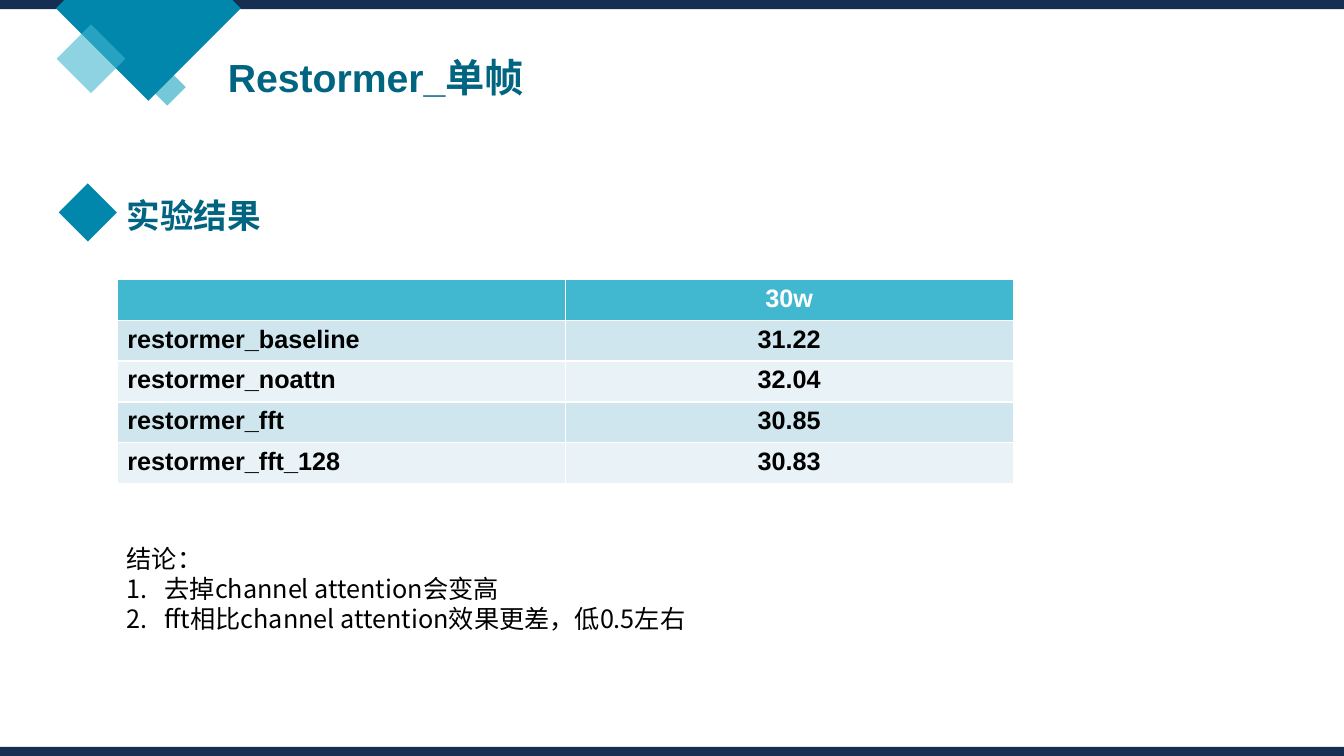
from dataclasses import dataclass

from lxml.etree import SubElement
from pptx import Presentation
from pptx.dml.color import RGBColor
from pptx.enum.shapes import MSO_SHAPE as Shape
from pptx.enum.text import MSO_ANCHOR as Anchor, MSO_AUTO_SIZE as AutoSize, PP_ALIGN as Align
from pptx.oxml.ns import qn
from pptx.util import Pt


@dataclass(frozen=True)
class Theme:
    navy: str = "152E52"
    teal: str = "0187AC"
    title: str = "016581"
    sky: str = "41B7D0"
    aqua: str = "1AA4BE"
    bands: tuple = ("CFE6EE", "E9F3F7")
    white: str = "FFFFFF"
    black: str = "000000"
    latin: str = "Arial"
    chinese: str = "Noto Sans CJK SC"
    title_size: int = 28
    heading_size: int = 24
    body_size: int = 18


THEME = Theme()
WIDTH, HEIGHT = 960, 540
ROWS = [
    ("", "30w"),
    ("restormer_baseline", "31.22"),
    ("restormer_noattn", "32.04"),
    ("restormer_fft", "30.85"),
    ("restormer_fft_128", "30.83"),
]
FINDINGS = ["去掉channel attention会变高", "fft相比channel attention效果更差，低0.5左右"]


def points(*values):
    return [Pt(value) for value in values]


def paint(shape, color, opacity=100):
    shape.shadow.inherit = False
    shape.fill.solid()
    shape.fill.fore_color.rgb = RGBColor.from_string(color)
    shape.line.fill.background()
    if opacity < 100:
        tint = shape.fill._xPr.find(qn("a:solidFill"))[0]
        SubElement(tint, qn("a:alpha"), val=str(opacity * 1000))


def add_filled(page, kind, box, color, opacity=100):
    paint(page.shapes.add_shape(kind, *points(*box)), color, opacity)


def write(para, text, color, size, name=THEME.latin, bold=True, align=Align.LEFT):
    para.alignment = align
    span = para.add_run()
    span.text = text
    for key, value in {"name": name, "size": Pt(size), "bold": bold}.items():
        setattr(span.font, key, value)
    span.font.color.rgb = RGBColor.from_string(color)
    SubElement(span.font._element, qn("a:ea"), typeface=THEME.chinese)


def prepare_frame(shape):
    settings = {
        "word_wrap": True,
        "auto_size": AutoSize.SHAPE_TO_FIT_TEXT,
        "vertical_anchor": Anchor.TOP,
    }
    for key, value in settings.items():
        setattr(shape.text_frame, key, value)
    return shape.text_frame


def add_frame(page, box):
    return prepare_frame(page.shapes.add_textbox(*points(*box)))


def add_edges(page, box):
    left, top, width, height = box
    band = 6.5
    for y in (top, top + height - band):
        add_filled(page, Shape.RECTANGLE, (left, y, width, band), THEME.navy)


def add_ornament(page, box):
    left, top, width, height = box
    middle = left + width / 2
    add_filled(page, Shape.DIAMOND, (middle, top + 49, 26.5, 26.5), THEME.aqua, 60)
    outline = page.shapes.build_freeform(left + 6, top, scale=Pt(1))
    outline.add_line_segments([
        (left + width - 6, top),
        (left + width, top + 6),
        (middle, top + height),
        (left, top + 6),
    ])
    paint(outline.convert_to_shape(), THEME.teal)
    add_filled(page, Shape.DIAMOND, (left, top + 17.5, 49, 49), THEME.sky, 60)


def add_title(page, box):
    title = page.shapes.title
    for key, value in zip(("left", "top", "width", "height"), points(*box)):
        setattr(title, key, value)
    frame = prepare_frame(title)
    write(frame.paragraphs[0], "Restormer_单帧", THEME.title, THEME.title_size)


def add_heading(page, box):
    left, top, width, height = box
    add_filled(page, Shape.DIAMOND, (left, top, height, height), THEME.teal)
    frame = add_frame(page, (left + height, top + 5, width - height, 36))
    write(frame.paragraphs[0], "实验结果", THEME.title, THEME.heading_size)


def add_results(page, box):
    table = page.shapes.add_table(len(ROWS), len(ROWS[0]), *points(*box)).table
    for row, values in enumerate(ROWS):
        fill = THEME.bands[(row - 1) % 2] if row else THEME.sky
        color = THEME.black if row else THEME.white
        for column, text in enumerate(values):
            cell = table.cell(row, column)
            cell.fill.solid()
            cell.fill.fore_color.rgb = RGBColor.from_string(fill)
            if text:
                align = Align.CENTER if column else Align.LEFT
                write(cell.text_frame.paragraphs[0], text, color, THEME.body_size, align=align)


def add_conclusion(page, box):
    frame = add_frame(page, box)
    style = {"color": THEME.black, "size": THEME.body_size, "name": THEME.chinese, "bold": False}
    write(frame.paragraphs[0], "结论：", **style)
    for finding in FINDINGS:
        para = frame.add_paragraph()
        write(para, finding, **style)
        layout = para._p.get_or_add_pPr()
        layout.set("marL", str(Pt(27)))
        layout.set("indent", str(-Pt(27)))
        SubElement(layout, qn("a:buAutoNum"), type="arabicPeriod")


def main():
    deck = Presentation()
    deck.slide_width, deck.slide_height = points(WIDTH, HEIGHT)
    page = deck.slides.add_slide(deck.slide_layouts[5])
    add_edges(page, (0, 0, WIDTH, HEIGHT))
    add_ornament(page, (40.5, 0, 131.5, 72))
    add_title(page, (155.5, 34.5, 350, 41))
    add_heading(page, (42, 131, 197, 41.5))
    add_results(page, (83.75, 199.5, 640, 146))
    add_conclusion(page, (83.5, 384.5, 492.5, 72.5))
    deck.save("out.pptx")


if __name__ == "__main__":
    main()
